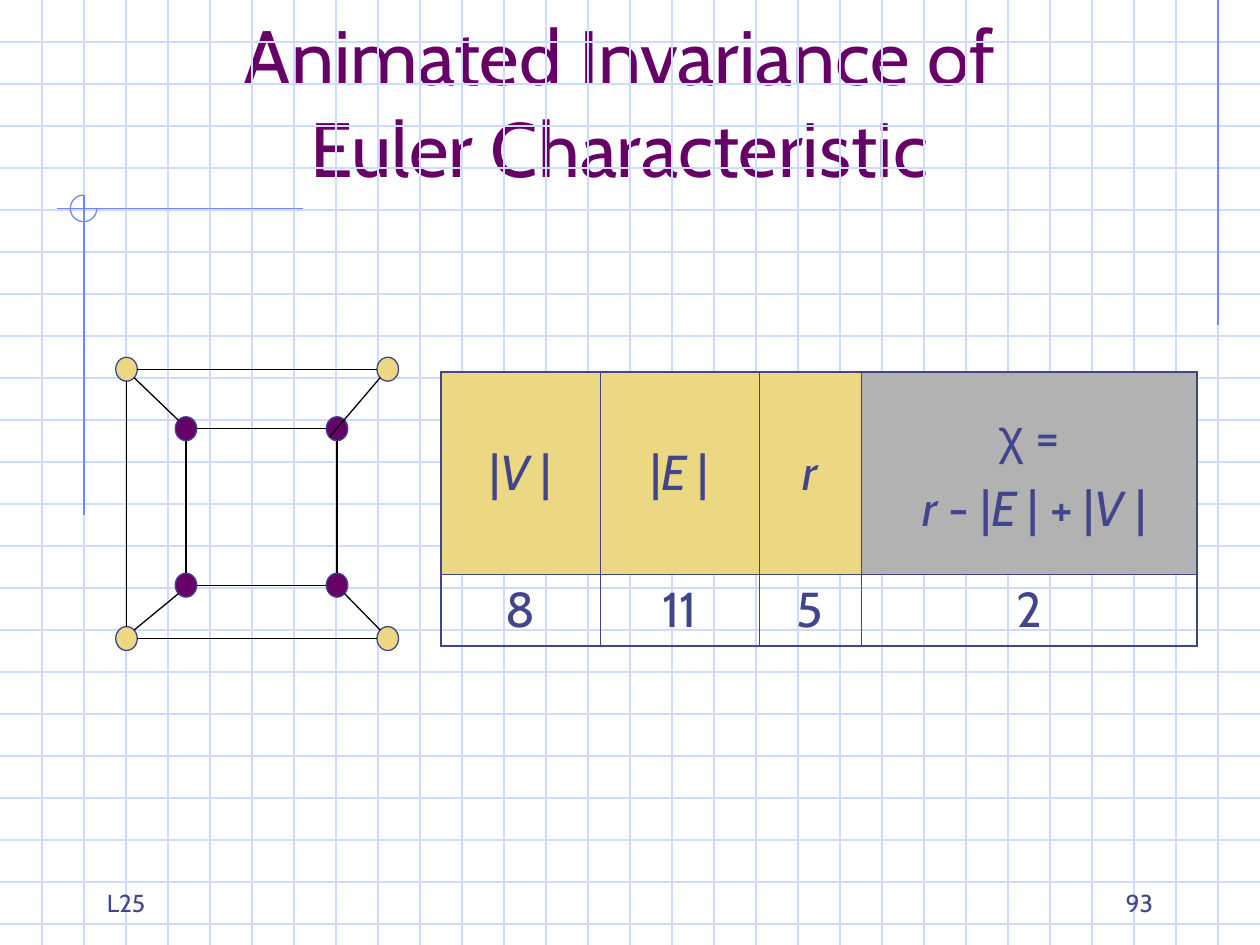
from lxml.etree import SubElement
from pptx import Presentation
from pptx.dml.color import RGBColor as RGB
from pptx.enum.shapes import MSO_CONNECTOR as LINK, MSO_SHAPE as FORM
from pptx.enum.text import MSO_ANCHOR as ANCHOR, MSO_AUTO_SIZE as AUTO, PP_ALIGN as ALIGN
from pptx.oxml import parse_xml
from pptx.oxml.ns import nsdecls, qn
from pptx.util import Pt

WIDE, HIGH = 720, 540
FONT = "Cabin"
COLORS = {"grid": "CFDBFD", "trim": "6F89F7", "ink": "40458C", "plum": "660066",
          "gold": "ECD882", "gray": "B2B2B2", "black": "000000"}

TITLE = "Animated Invariance of\vEuler Characteristic"
FOOTERS = [("L25", 54, ALIGN.LEFT), ("93", 516, ALIGN.RIGHT)]
TRIM = [(696, 0, 696, 186), (32.5, 119.2, 173, 119.2), (48, 111.5, 48, 294.5)]

# Graph: node name -> centre x, centre y, fill
NODES = {
    "outer NW": (72.3, 211, "gold"), "outer NE": (221.6, 211, "gold"),
    "outer SW": (72.3, 364.9, "gold"), "outer SE": (221.6, 364.9, "gold"),
    "inner NW": (106.3, 245, "plum"), "inner NE": (192.6, 245, "plum"),
    "inner SW": (106.3, 334.4, "plum"), "inner SE": (192.6, 334.4, "plum"),
}
NODE_W, NODE_H = 12.3, 13.7
# Each edge: node, side it leaves, node, side it meets
EDGES = [
    ("outer NW", "E", "outer NE", "W"), ("outer NW", "S", "outer SW", "N"),
    ("outer SW", "E", "outer SE", "W"), ("inner NW", "E", "inner NE", "W"),
    ("inner NW", "S", "inner SW", "N"), ("inner SW", "E", "inner SE", "W"),
    ("inner NE", "S", "inner SE", "N"), ("inner NW", "NW", "outer NW", "SE"),
    ("inner NE", "SW", "outer NE", "SW"), ("inner SE", "SE", "outer SE", "NW"),
    ("inner SW", "SW", "outer SW", "NE"),
]
STEPS = {"N": (0, -1), "S": (0, 1), "W": (-1, 0), "E": (1, 0)}

# Table: a cell is a list of paragraphs, a paragraph a list of runs; "*" marks italics
COLS, ROWS = [91, 91, 58, 192], [115.5, 41]
CELLS = [
    [[["|", "*V ", "|"]], [["|", "*E ", "|"]], [["*r"]],
     [["χ", " ="], [" ", "*r", " - |", "*E ", "| + |", "*V ", "|"]]],
    [[["8"]], [["11"]], [["5"]], [["2"]]],
]
HEADS = ["gold", "gold", "gold", "gray"]


def color(name):
    return RGB.from_string(COLORS[name])


def style(para, size, tint, align):
    para.alignment = align
    para.font.name, para.font.size = FONT, Pt(size)
    para.font.color.rgb = color(tint)


def line(shapes, ends, tint):
    link = shapes.add_connector(LINK.STRAIGHT, *map(Pt, ends))
    link.line.color.rgb, link.line.width = color(tint), Pt(0.75)
    SubElement(link._element.spPr, qn("a:effectLst"))


def oval(shapes, form, box, fill, tint):
    shape = shapes.add_shape(form, *map(Pt, box))
    shape.shadow.inherit = False
    if fill:
        shape.fill.solid()
        shape.fill.fore_color.rgb = color(fill)
    else:
        shape.fill.background()
    shape.line.color.rgb, shape.line.width = color(tint), Pt(0.75)
    return shape


def rim(name, side):
    """Point on a node's outline in a compass direction."""
    x, y, _ = NODES[name]
    part = 1 if len(side) == 1 else 0.707
    dx, dy = (sum(STEPS[c][i] for c in side) for i in (0, 1))
    return x + dx * part * NODE_W / 2, y + dy * part * NODE_H / 2


def border(cell, row, col):
    """Thick lines on the table's rim, thin ones inside."""
    rims = {"L": col == 0, "R": col == len(COLS) - 1,
            "T": row == 0, "B": row == len(ROWS) - 1}
    props = cell._tc.get_or_add_tcPr()
    for spot, (side, edge) in enumerate(rims.items()):
        width = Pt(1.08 if edge else 0.45)
        props.insert(spot, parse_xml(
            f'<a:ln{side} {nsdecls("a")} w="{width}"><a:solidFill>'
            f'<a:srgbClr val="{COLORS["ink"]}"/></a:solidFill></a:ln{side}>'))


def write(frame, paras):
    for i, runs in enumerate(paras):
        para = frame.add_paragraph() if i else frame.paragraphs[0]
        style(para, 28, "ink", ALIGN.CENTER)
        if i:
            para.space_before = Pt(7)
        for text in runs:
            run = para.add_run()
            run.text = text.lstrip("*")
            if text.startswith("*"):
                run.font.italic = True
            if text == "χ":
                run.font.name = "Arial"


def backdrop(shapes):
    for y in range(24, HIGH, 24):
        line(shapes, (0, y, WIDE, y), "grid")
    for x in range(24, WIDE, 24):
        line(shapes, (x, 0, x, HIGH), "grid")
    for ends in TRIM:
        line(shapes, ends, "trim")
    arc = oval(shapes, FORM.ARC, (40.2, 111.5, 15.2, 15.2), None, "trim")
    arc.adjustments[0], arc.adjustments[1] = 0, 162


def labels(shapes):
    title = shapes.title
    title.left, title.top, title.width, title.height = map(Pt, (48, 24, 612, 90))
    frame = title.text_frame
    frame.text, frame.vertical_anchor = TITLE, ANCHOR.BOTTOM
    frame.auto_size = AUTO.NONE
    style(frame.paragraphs[0], 44, "plum", ALIGN.CENTER)
    for text, x, align in FOOTERS:
        frame = shapes.add_textbox(Pt(x), Pt(492), Pt(150), Pt(36)).text_frame
        frame.text, frame.word_wrap = text, True
        frame.vertical_anchor = ANCHOR.BOTTOM
        style(frame.paragraphs[0], 14, "ink", align)


def graph(shapes):
    for x, y, fill in NODES.values():
        box = x - NODE_W / 2, y - NODE_H / 2, NODE_W, NODE_H
        oval(shapes, FORM.OVAL, box, fill, "ink")
    for start, out, end, into in EDGES:
        line(shapes, rim(start, out) + rim(end, into), "black")


def counts(shapes):
    size = Pt(252), Pt(212.6), Pt(sum(COLS)), Pt(sum(ROWS))
    table = shapes.add_table(len(ROWS), len(COLS), *size).table
    table.first_row = table.horz_banding = False
    for col, width in zip(table.columns, COLS):
        col.width = Pt(width)
    for r, height in enumerate(ROWS):
        table.rows[r].height = Pt(height)
        for c, paras in enumerate(CELLS[r]):
            cell = table.cell(r, c)
            cell.vertical_anchor = ANCHOR.MIDDLE
            if r == 0:
                cell.fill.solid()
                cell.fill.fore_color.rgb = color(HEADS[c])
            else:
                cell.fill.background()
            border(cell, r, c)
            write(cell.text_frame, paras)


def main():
    deck = Presentation()
    deck.slide_width, deck.slide_height = Pt(WIDE), Pt(HIGH)
    shapes = deck.slides.add_slide(deck.slide_layouts[5]).shapes
    for draw in (backdrop, labels, graph, counts):
        draw(shapes)
    deck.save("out.pptx")


if __name__ == "__main__":
    main()
